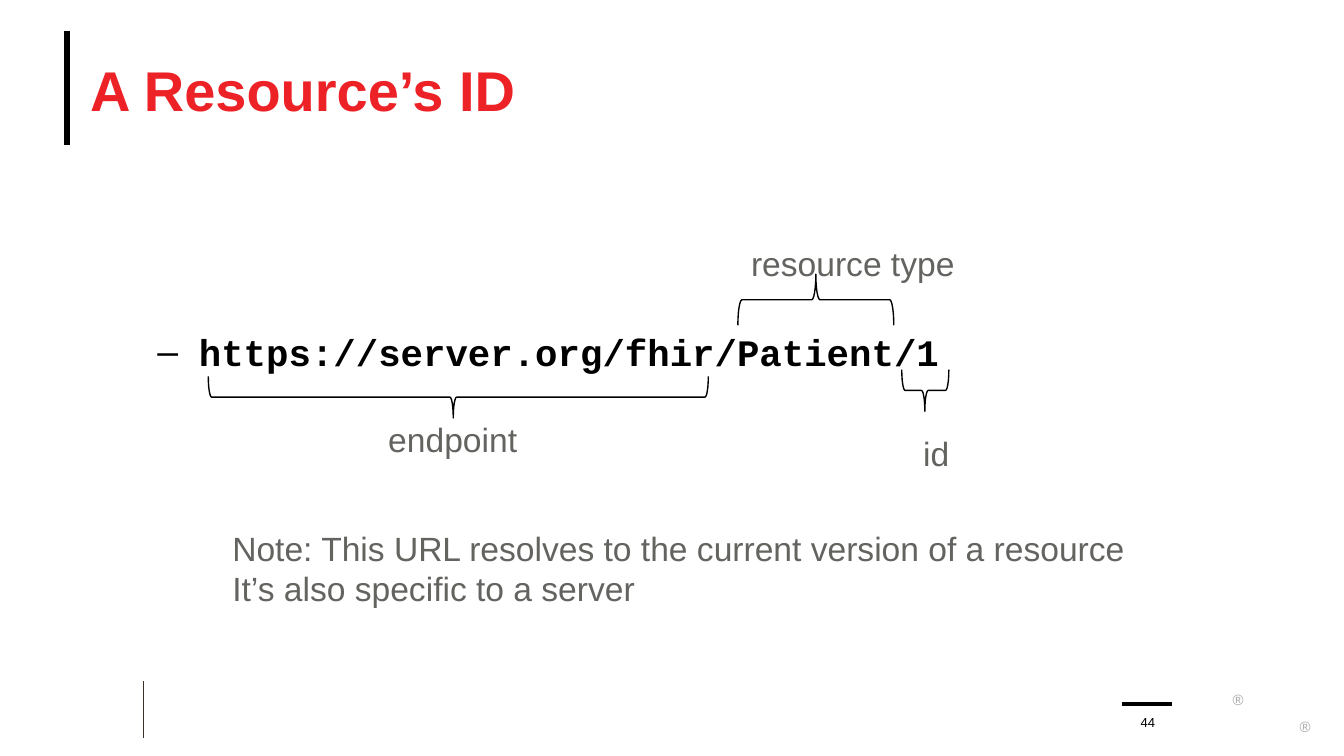
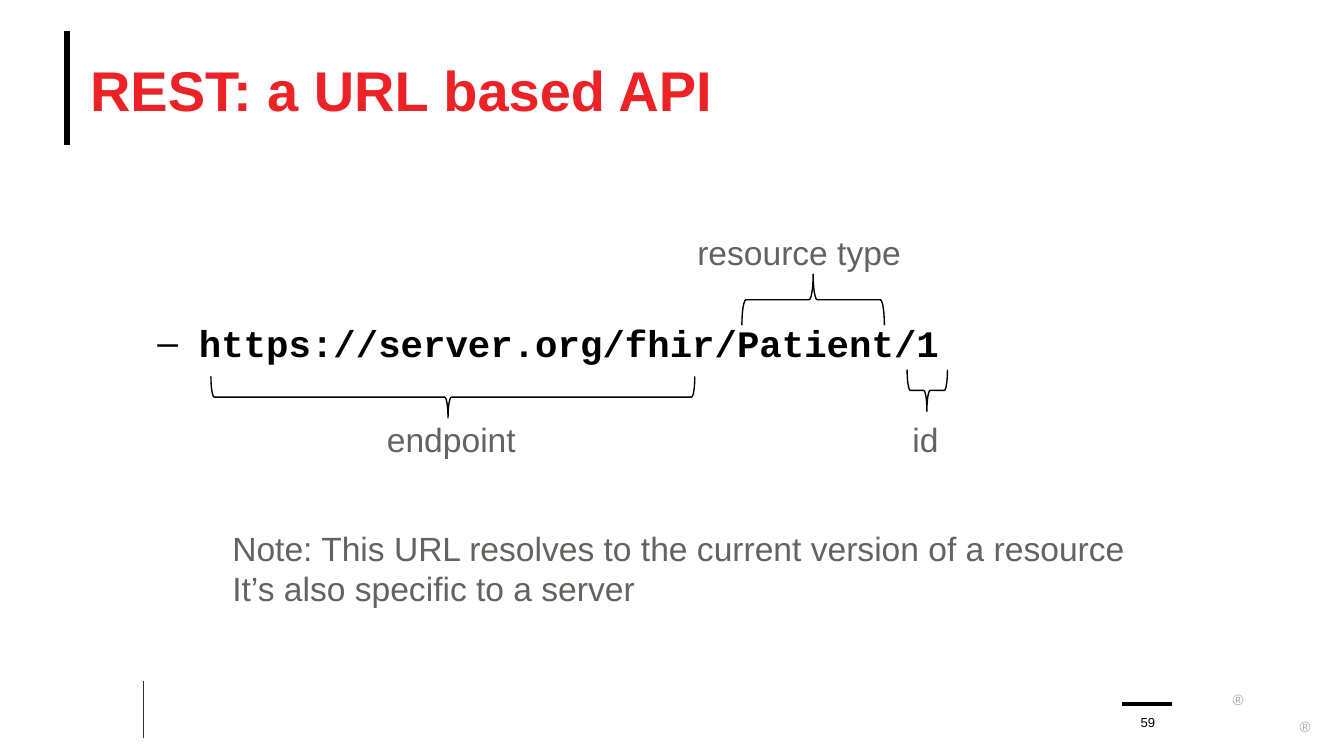
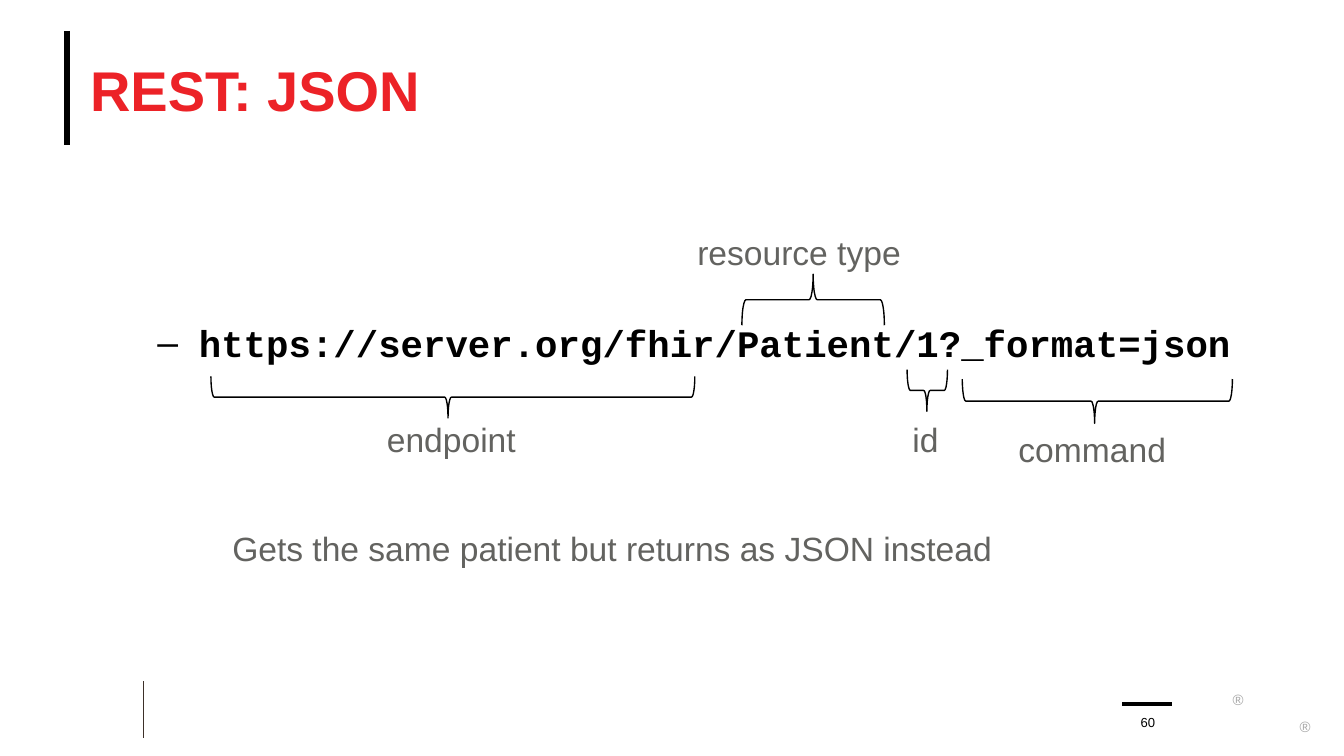
from dataclasses import dataclass

from lxml import etree
from pptx import Presentation
from pptx import util as u
from pptx.dml.color import RGBColor
from pptx.enum import shapes, text
from pptx.oxml.ns import qn


@dataclass(frozen=True)
class Theme:
    red: str = "EC2227"
    black: str = "000000"
    grey: str = "636360"
    pale: str = "A6A6A6"
    brown: str = "3D3029"
    sans: str = "Arial"
    mono: str = "Courier New"
    title: float = 30
    url: float = 20
    label: float = 18
    mark: float = 8
    number: float = 7


THEME = Theme()
SLIDE_WIDTH = 10
SLIDE_SIZE = (SLIDE_WIDTH, SLIDE_WIDTH * 9 / 16)
TITLE_BOX = (0.67, 0.23, 9, 0.86)
BODY_BOX = (0.67, 1.48, 9, 3.39)
NUMBER_BOX = (8.39, 5.24, 0.3, 0.19)
NOTE_CORNER = (1.63, 3.88)
LINE_HEIGHT = 0.31
LABEL_HEIGHT = 0.4

# start, end, colour, width
RULES = [
    ((0.5, 0.23), (0.5, 1.08), THEME.black, 3.25),
    ((1.07, 5.07), (1.07, 5.49), THEME.brown, 0.5),
    ((8.35, 5.24), (8.72, 5.24), THEME.black, 2),
]
MARKS = [(9.16, 5.1, 0.11, 0.09), (9.67, 5.3, 0.09, 0.09)]

# label, label box (left, top, width), brace (left, top, length, depth), direction
ID_PARTS = [
    ("endpoint", (2.79, 3.07, 1.18), (1.55, 2.8, 3.72, 0.31), "down"),
    ("resource type", (5.49, 1.76, 1.74), (5.49, 2.04, 1.16, 0.38), "up"),
    ("id", (6.77, 3.17, 0.41), (6.71, 2.75, 0.35, 0.31), "down"),
]
REST_PARTS = [
    ("endpoint", (2.78, 3.07, 1.28), (1.57, 2.8, 3.6, 0.31), "down"),
    ("resource type", (5.09, 1.68, 1.86), (5.52, 2.04, 1.06, 0.38), "up"),
    ("id", (6.69, 3.07, 0.41), (6.75, 2.75, 0.3, 0.31), "down"),
]
COMMAND_PART = ("command", (7.48, 3.14, 1.34), (7.16, 2.82, 2.01, 0.33), "down")

PATIENT_URL = "https://server.org/fhir/Patient/1"
SERVER_NOTE = [
    "Note: This URL resolves to the current version of a resource",
    "It’s also specific to a server",
]
SLIDES = [
    dict(title="A Resource’s ID", number=44, url=PATIENT_URL, url_drop=0.97,
         parts=ID_PARTS, note=SERVER_NOTE, note_width=6.91),
    dict(title="REST: a URL based API", number=59, url=PATIENT_URL, url_drop=0.9,
         parts=REST_PARTS, note=SERVER_NOTE, note_width=6.91),
    dict(title="REST: JSON", number=60, url=PATIENT_URL + "?_format=json", url_drop=0.9,
         parts=[COMMAND_PART] + REST_PARTS,
         note=["Gets the same patient but returns as JSON instead"], note_width=5.91),
]


def inches(values):
    return [u.Inches(value) for value in values]


def style(frame, size, color, font=THEME.sans, bold=False):
    for para in frame.paragraphs:
        for span in para.runs:
            span.font.size = u.Pt(size)
            span.font.name = font
            span.font.bold = bold
            span.font.color.rgb = RGBColor.from_string(color)


def clear_margins(frame):
    frame.margin_left = frame.margin_right = frame.margin_top = frame.margin_bottom = 0


def add_text(parent, box, words, size, color, wrap=True):
    frame = parent.shapes.add_textbox(*inches(box)).text_frame
    frame.text = words
    frame.word_wrap = wrap
    frame.auto_size = text.MSO_AUTO_SIZE.SHAPE_TO_FIT_TEXT
    style(frame, size, color)
    return frame


def fill_placeholder(holder, box, words):
    holder.left, holder.top, holder.width, holder.height = inches(box)
    frame = holder.text_frame
    frame.text = words
    frame.word_wrap = True
    frame.auto_size = text.MSO_AUTO_SIZE.NONE
    clear_margins(frame)
    frame.paragraphs[0].space_before = 0
    return frame


def add_title(page, words):
    frame = fill_placeholder(page.shapes.title, TITLE_BOX, words)
    frame.vertical_anchor = text.MSO_ANCHOR.MIDDLE
    frame.paragraphs[0].alignment = text.PP_ALIGN.LEFT
    style(frame, THEME.title, THEME.red, bold=True)


def add_url(page, url, drop):
    """Show the address as a second-level item, dropped inside the body area."""
    frame = fill_placeholder(page.placeholders[1], BODY_BOX, url)
    frame.margin_top = u.Inches(drop)
    para = frame.paragraphs[0]
    para.level = 1
    indent = para._p.get_or_add_pPr()
    indent.set("marL", str(u.Inches(0.81)))
    indent.set("indent", str(u.Inches(-0.31)))
    style(frame, THEME.url, THEME.black, THEME.mono, bold=True)


def add_frame(page, number):
    for start, end, color, width in RULES:
        rule = page.shapes.add_connector(shapes.MSO_CONNECTOR.STRAIGHT, *inches(start + end))
        rule.line.color.rgb = RGBColor.from_string(color)
        rule.line.width = u.Pt(width)
        etree.SubElement(rule._element.spPr, qn("a:effectLst"))
    marks = page.shapes.add_group_shape()
    for box in MARKS:
        add_text(marks, box, "®", THEME.mark, THEME.pale, wrap=False)
    frame = add_text(page, NUMBER_BOX, str(number), THEME.number, THEME.black)
    frame.auto_size = text.MSO_AUTO_SIZE.NONE
    clear_margins(frame)
    frame.vertical_anchor = text.MSO_ANCHOR.BOTTOM
    frame.paragraphs[0].alignment = text.PP_ALIGN.CENTER


def add_part(page, label, label_box, brace_box, direction):
    """Group a label with its brace, an upright brace turned about its centre."""
    group = page.shapes.add_group_shape()
    left, top, length, depth = brace_box
    upright = (left + (length - depth) / 2, top + (depth - length) / 2, depth, length)
    brace = group.shapes.add_shape(shapes.MSO_SHAPE.LEFT_BRACE, *inches(upright))
    brace.rotation = 90 if direction == "up" else 270
    brace.adjustments[0] = 0.08
    brace.adjustments[1] = 0.5 if direction == "up" else 0.49
    brace.shadow.inherit = False
    brace.fill.background()
    brace.line.color.rgb = RGBColor.from_string(THEME.black)
    brace.line.width = u.Pt(0.75)
    add_text(group, label_box + (LABEL_HEIGHT,), label, THEME.label, THEME.grey)


def main():
    deck = Presentation()
    deck.slide_width, deck.slide_height = inches(SLIDE_SIZE)
    for content in SLIDES:
        page = deck.slides.add_slide(deck.slide_layouts[1])
        add_title(page, content["title"])
        add_url(page, content["url"], content["url_drop"])
        add_frame(page, content["number"])
        for part in content["parts"]:
            add_part(page, *part)
        note = content["note"]
        height = LABEL_HEIGHT + LINE_HEIGHT * (len(note) - 1)
        add_text(page, NOTE_CORNER + (content["note_width"], height),
                 "\n".join(note), THEME.label, THEME.grey)
    deck.save("out.pptx")


if __name__ == "__main__":
    main()
